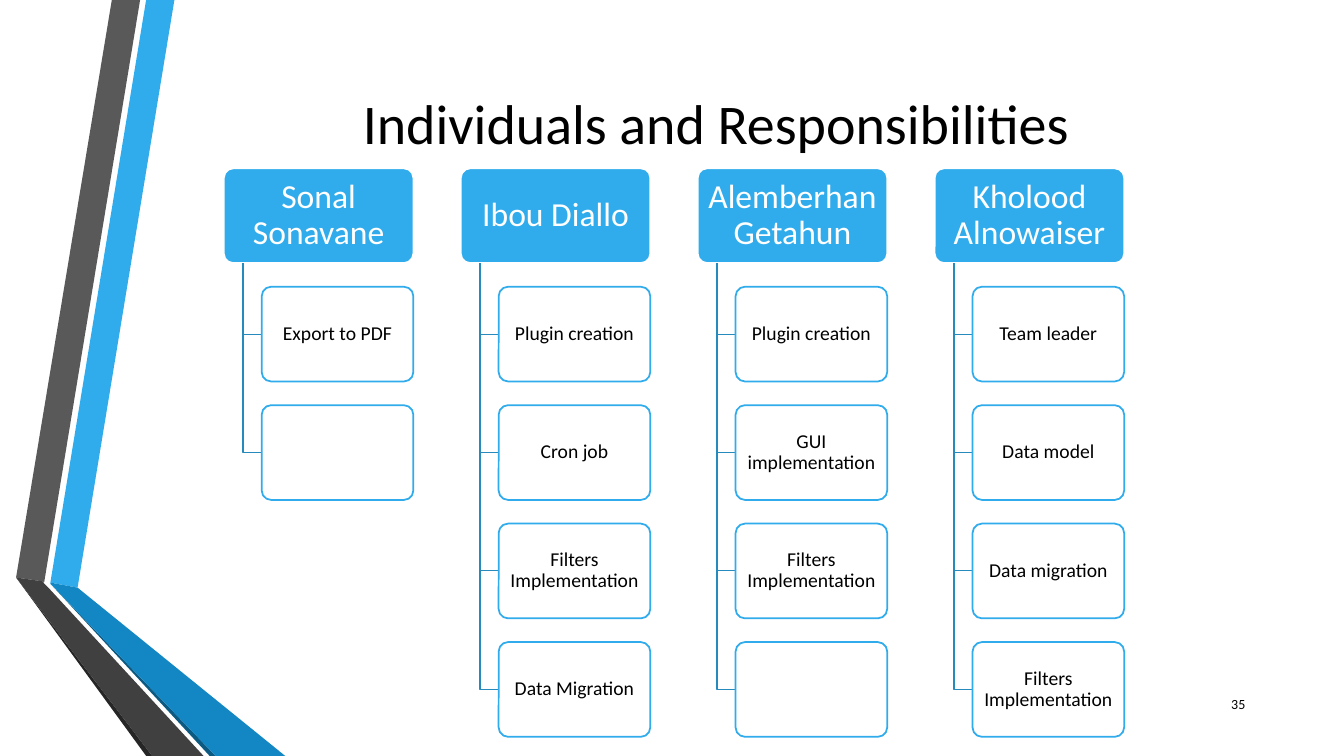
from dataclasses import dataclass

from lxml.etree import SubElement
from pptx import Presentation
from pptx.dml.color import RGBColor
from pptx.enum.shapes import MSO_SHAPE as Preset
from pptx.enum.text import MSO_ANCHOR as Anchor, PP_ALIGN as Align
from pptx.oxml.ns import qn
from pptx.shapes.autoshape import Shape
from pptx.slide import Slide
from pptx.text.text import TextFrame
from pptx.util import Emu, Inches, Pt

WHITE = RGBColor(0xFF, 0xFF, 0xFF)
BLACK = RGBColor(0x00, 0x00, 0x00)
SKY = RGBColor(0x30, 0xAC, 0xEC)
BLUE = RGBColor(0x12, 0x87, 0xC3)
NAVY = RGBColor(0x0C, 0x5A, 0x82)
BRANCH = RGBColor(0x26, 0x8A, 0xBD)
GREY = RGBColor(0x59, 0x59, 0x59)
CHARCOAL = RGBColor(0x40, 0x40, 0x40)
SOOT = RGBColor(0x26, 0x26, 0x26)

CELL = Inches(0.01)
PAGE_WIDTH, PAGE_HEIGHT = 1333, 750
CHART_LEFT, CHART_TOP = 222, 167
BOX_HEIGHT = 94
COLUMN_STEP = 2.5 * BOX_HEIGHT
ROW_STEP = 1.25 * BOX_HEIGHT
PERSON_WIDTH = 2 * BOX_HEIGHT
TASK_WIDTH = 1.6 * BOX_HEIGHT
TRUNK_INDENT = 0.2 * BOX_HEIGHT
TASK_INDENT = 0.4 * BOX_HEIGHT

Point = tuple[float, float]


@dataclass(frozen=True)
class Ribbon:
    color: RGBColor
    points: list[Point]


@dataclass(frozen=True)
class Person:
    name: str
    tasks: list[str]


@dataclass(frozen=True)
class BoxStyle:
    width: float
    fill: RGBColor
    opacity: int
    line: RGBColor
    font_color: RGBColor
    font_size: int
    side_inset: int
    top_inset: int


PERSON_STYLE = BoxStyle(PERSON_WIDTH, SKY, 100, WHITE, WHITE, 24, 5, 3)
TASK_STYLE = BoxStyle(TASK_WIDTH, WHITE, 90, SKY, BLACK, 14, 3, 2)

RIBBONS = [
    Ribbon(SKY, [(50, 578), (77, 583), (173, 0), (145, 0)]),
    Ribbon(GREY, [(139, 0), (111, 0), (16, 573), (44, 577)]),
    Ribbon(SOOT, [(16, 573), (145, 750), (151, 750)]),
    Ribbon(NAVY, [(50, 579), (208, 750), (214, 750)]),
    Ribbon(BLUE, [(50, 578), (50, 579), (214, 750), (283, 750), (77, 583)]),
    Ribbon(CHARCOAL, [(202, 750), (48, 583), (43, 578), (44, 577), (16, 573), (151, 750)]),
]

PEOPLE = [
    Person("Sonal Sonavane", ["Export to PDF", ""]),
    Person("Ibou Diallo", ["Plugin creation", "Cron job", "Filters Implementation", "Data Migration"]),
    Person("Alemberhan Getahun", ["Plugin creation", "GUI implementation", "Filters Implementation", ""]),
    Person("Kholood Alnowaiser", ["Team leader", "Data model", "Data migration", "Filters Implementation"]),
]


def cells(count: float) -> Emu:
    return Emu(round(count * CELL))


def write_text(frame: TextFrame, text: str, size: int, color: RGBColor, align: Align) -> None:
    frame.word_wrap = True
    frame.vertical_anchor = Anchor.MIDDLE
    para = frame.paragraphs[0]
    para.text = text
    para.alignment = align
    para.font.name = "Calibri"
    para.font.size = Pt(size)
    para.font.color.rgb = color


def draw_outline(page: Slide, points: list[Point], closed: bool) -> Shape:
    builder = page.shapes.build_freeform(*points[0], scale=CELL)
    builder.add_line_segments(points[1:], close=closed)
    outline = builder.convert_to_shape()
    outline.shadow.inherit = False
    return outline


def draw_ribbon(page: Slide, ribbon: Ribbon) -> None:
    band = draw_outline(page, ribbon.points, True)
    band.fill.solid()
    band.fill.fore_color.rgb = ribbon.color
    band.line.fill.background()


def draw_branch(page: Slide, left: float, top: float, bottom: float) -> None:
    right = left + TASK_INDENT - TRUNK_INDENT
    branch = draw_outline(page, [(left, top), (left, bottom), (right, bottom)], False)
    branch.fill.background()
    branch.line.color.rgb = BRANCH
    branch.line.width = Pt(1.25)


def draw_box(page: Slide, left: float, top: float, text: str, style: BoxStyle) -> None:
    box = page.shapes.add_shape(
        Preset.ROUNDED_RECTANGLE, cells(left), cells(top), cells(style.width), cells(BOX_HEIGHT)
    )
    box.adjustments[0] = 0.1
    box.shadow.inherit = False
    box.fill.solid()
    box.fill.fore_color.rgb = style.fill
    if style.opacity < 100:
        tint = box.fill._xPr.find(qn("a:solidFill"))[0]
        SubElement(tint, qn("a:alpha")).set("val", str(style.opacity * 1000))
    box.line.color.rgb = style.line
    box.line.width = Pt(1.25)
    if not text:
        return
    frame = box.text_frame
    frame.margin_left = frame.margin_right = cells(style.side_inset)
    frame.margin_top = frame.margin_bottom = cells(style.top_inset)
    write_text(frame, text, style.font_size, style.font_color, Align.CENTER)
    frame.paragraphs[0].line_spacing = 0.9


def draw_person(page: Slide, left: float, person: Person) -> None:
    draw_box(page, left, CHART_TOP, person.name, PERSON_STYLE)
    for row, task in enumerate(person.tasks, start=1):
        top = CHART_TOP + row * ROW_STEP
        draw_branch(page, left + TRUNK_INDENT, CHART_TOP + BOX_HEIGHT, top + BOX_HEIGHT / 2)
        draw_box(page, left + TASK_INDENT, top, task, TASK_STYLE)


def main() -> None:
    deck = Presentation()
    deck.slide_width, deck.slide_height = cells(PAGE_WIDTH), cells(PAGE_HEIGHT)
    page = deck.slides.add_slide(deck.slide_layouts[5])

    title = page.shapes.title
    title.left, title.top, title.width, title.height = map(cells, (162, 75, 1096, 92))
    write_text(title.text_frame, "Individuals and Responsibilities", 40, BLACK, Align.CENTER)

    for ribbon in RIBBONS:
        draw_ribbon(page, ribbon)
    for column, person in enumerate(PEOPLE):
        draw_person(page, CHART_LEFT + column * COLUMN_STEP, person)

    number = page.shapes.add_textbox(*map(cells, (1185, 678, 60, 40)))
    write_text(number.text_frame, "35", 10, BLACK, Align.RIGHT)

    deck.save("out.pptx")


if __name__ == "__main__":
    main()
